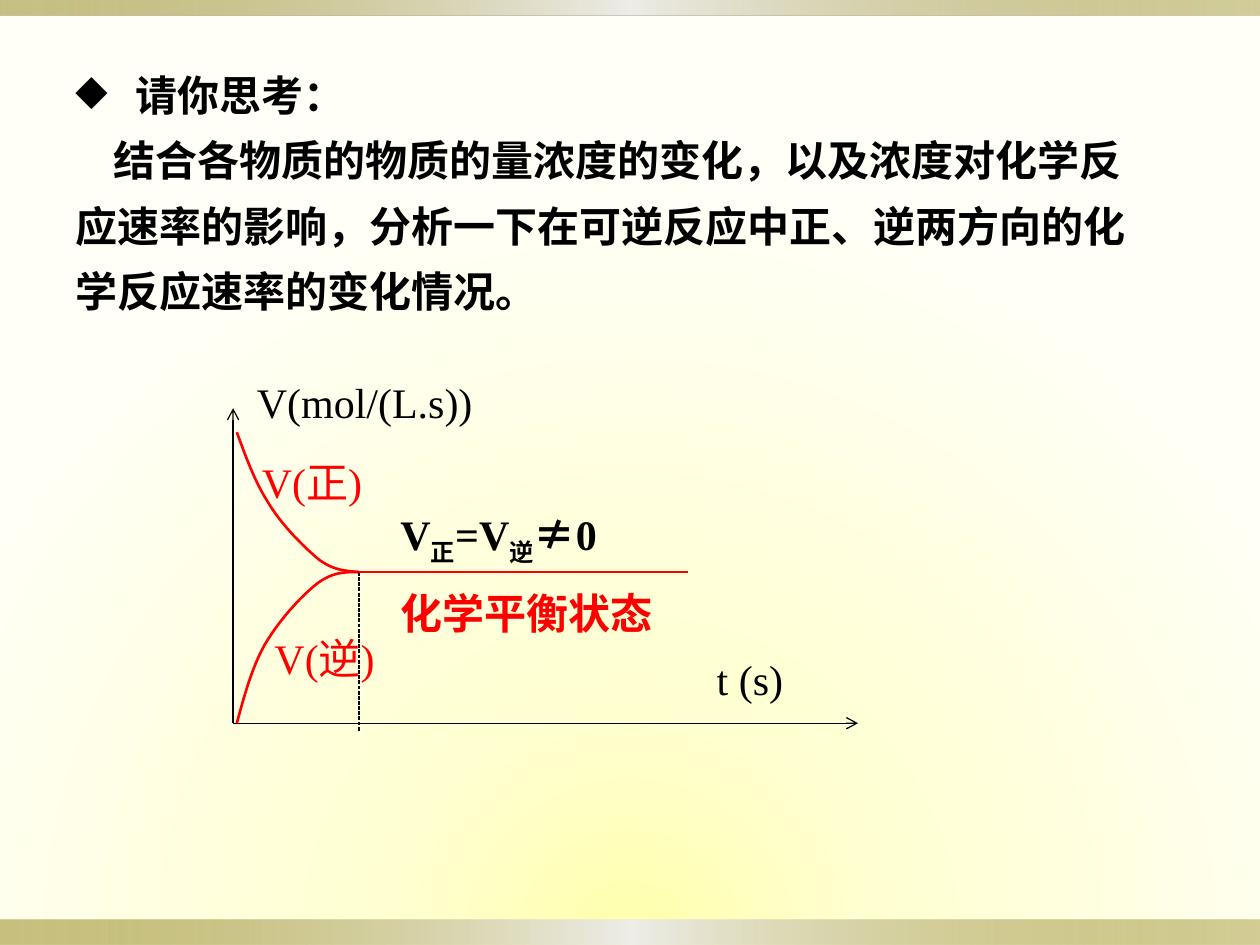
from lxml import etree
from pptx import Presentation
from pptx.dml.color import RGBColor
from pptx.enum.dml import MSO_LINE
from pptx.enum.shapes import MSO_CONNECTOR, MSO_SHAPE
from pptx.enum.text import MSO_AUTO_SIZE as AUTO_SIZE
from pptx.oxml import parse_xml
from pptx.oxml.ns import nsdecls, qn
from pptx.util import Inches, Pt

COLUMNS, ROWS = 100, 75
CELL = Inches(0.1)
CHINESE_FONT, LATIN_FONT = "Noto Sans CJK SC", "Times New Roman"
BLACK, RED = "000000", "FF0000"
ORIGIN_X, ORIGIN_Y = 18.5, 57.4
BALANCE_X, BALANCE_Y = 28.5, 45.4
FORWARD_CURVE = [
    (18.8, 34.3), (19.5, 36.2), (20.2, 38.2), (21.3, 39.9), (22.3, 41.6),
    (24.1, 43.4), (25.3, 44.4), (26.5, 45.3), (27.5, 45.3), (28.4, 45.4),
]
REVERSE_CURVE = [
    (18.8, 57.4), (19.4, 55.2), (20, 53), (21, 51.2), (22.1, 49.3),
    (23.9, 47.3), (25.2, 46.3), (26.4, 45.4), (27.4, 45.4), (28.5, 45.4),
]


def cells(*values):
    return [round(value * CELL) for value in values]


def color(hex_code):
    return RGBColor.from_string(hex_code)


def gradient(stops, direction):
    marks = "".join(
        f'<a:gs pos="{position * 1000}"><a:srgbClr val="{hex_code}">'
        f'<a:alpha val="{alpha * 1000}"/></a:srgbClr></a:gs>'
        for position, hex_code, alpha in stops
    )
    return f'<a:gradFill {nsdecls("a")} rotWithShape="1"><a:gsLst>{marks}</a:gsLst>{direction}</a:gradFill>'


def set_background(slide):
    glow = gradient(
        [(0, "FFFFAC", 100), (31, "FFFFD2", 100), (100, "FFFFF7", 100)],
        '<a:path path="circle"><a:fillToRect l="50000" t="150000" r="50000" b="0"/></a:path>',
    )
    background = parse_xml(f'<p:bg {nsdecls("p", "a")}><p:bgPr>{glow}<a:effectLst/></p:bgPr></p:bg>')
    slide.element.cSld.insert(0, background)


def add_band(slide, top, height):
    shape = slide.shapes.add_shape(MSO_SHAPE.RECTANGLE, *cells(0, top, COLUMNS, height))
    shape.shadow.inherit = False
    shape.line.fill.background()
    fill = gradient(
        [(0, "918415", 50), (50, "EEEDE8", 100), (100, "918415", 40)],
        '<a:lin ang="0" scaled="1"/>',
    )
    shape.element.spPr.find(qn("a:prstGeom")).addnext(parse_xml(fill))


def style_line(line, hex_code, width):
    line.color.rgb = color(hex_code)
    line.width = Pt(width)


def add_line(slide, start, end, hex_code=BLACK, width=0.75, arrow=False, dashed=False):
    connector = slide.shapes.add_connector(MSO_CONNECTOR.STRAIGHT, *cells(*start, *end))
    style_line(connector.line, hex_code, width)
    if dashed:
        connector.line.dash_style = MSO_LINE.SQUARE_DOT
    if arrow:
        etree.SubElement(connector.line._get_or_add_ln(), qn("a:tailEnd"), type="arrow")
    etree.SubElement(connector.element.spPr, qn("a:effectLst"))


def bezier_point(controls, t):
    weights = ((1 - t) ** 3, 3 * t * (1 - t) ** 2, 3 * t ** 2 * (1 - t), t ** 3)
    return cells(*(sum(w * value for w, value in zip(weights, axis)) for axis in zip(*controls)))


def add_curve(slide, controls, steps=12):
    points = [
        bezier_point(controls[first:first + 4], step / steps)
        for first in range(0, len(controls) - 1, 3)
        for step in range(1, steps + 1)
    ]
    builder = slide.shapes.build_freeform(*cells(*controls[0]))
    builder.add_line_segments(points, close=False)
    shape = builder.convert_to_shape()
    shape.shadow.inherit = False
    shape.fill.background()
    style_line(shape.line, RED, 1.5)


def add_text_frame(slide, box, wrap=True):
    frame = slide.shapes.add_textbox(*cells(*box)).text_frame
    frame.word_wrap = wrap
    frame.auto_size = AUTO_SIZE.SHAPE_TO_FIT_TEXT
    return frame


def set_font(paragraph, name, hex_code=BLACK, bold=False):
    font = paragraph.font
    font.size = Pt(24)
    font.name = name
    font.bold = bold
    font.color.rgb = color(hex_code)
    etree.SubElement(font._element, qn("a:ea"), typeface=CHINESE_FONT)


def add_label(slide, box, parts, hex_code=BLACK, bold=False, wrap=True):
    paragraph = add_text_frame(slide, box, wrap).paragraphs[0]
    for text, baseline in parts:
        run = paragraph.add_run()
        run.text = text
        if baseline:
            run.font._element.set("baseline", str(baseline * 1000))
    set_font(paragraph, LATIN_FONT, hex_code, bold)


def add_question(slide):
    frame = add_text_frame(slide, (5, 3.8, 88, 22))
    heading, body = frame.paragraphs[0], frame.add_paragraph()
    heading.text = "请你思考："
    body.text = (
        "结合各物质的物质的量浓度的变化，以及浓度对化学反应速率的影响，"
        "分析一下在可逆反应中正、逆两方向的化学反应速率的变化情况。"
    )
    for paragraph, margin, indent in ((heading, 4.8, -4.8), (body, 0, 3)):
        paragraph.line_spacing = 1.3
        properties = paragraph._p.get_or_add_pPr()
        properties.set("marL", str(cells(margin)[0]))
        properties.set("indent", str(cells(indent)[0]))
        if paragraph is heading:
            etree.SubElement(properties, qn("a:buChar"), char="◆")
        set_font(paragraph, CHINESE_FONT, bold=True)


def add_rate_graph(slide):
    origin, balance = (ORIGIN_X, ORIGIN_Y), (BALANCE_X, BALANCE_Y)
    add_line(slide, origin, (68.1, ORIGIN_Y), arrow=True)
    add_line(slide, origin, (ORIGIN_X, 32.4), arrow=True)
    add_label(slide, (19.4, 29.4, 29.6, 6.5), [("V(mol/(L.s))", 0)])
    add_label(slide, (55.9, 51.4, 10.4, 6.5), [("t (s)", 0)])
    add_curve(slide, REVERSE_CURVE)
    add_line(slide, balance, (BALANCE_X, 58), dashed=True)
    add_curve(slide, FORWARD_CURVE)
    add_line(slide, balance, (54.6, BALANCE_Y), RED, 1.5)
    add_label(slide, (19.8, 35.7, 12.6, 7.2), [("V(正)", 0)], RED)
    add_label(slide, (20.8, 49.7, 12.6, 7.2), [("V(逆)", 0)], RED)
    equality = [("V", 0), ("正", -25), ("=V", 0), ("逆", -25), ("≠0", 0)]
    add_label(slide, (30.8, 39.9, 20.8, 7.2), equality, bold=True, wrap=False)
    add_label(slide, (30.8, 46.1, 27.6, 7.2), [("化学平衡状态", 0)], RED, bold=True, wrap=False)


def main():
    presentation = Presentation()
    presentation.slide_width, presentation.slide_height = cells(COLUMNS, ROWS)
    slide = presentation.slides.add_slide(presentation.slide_layouts[6])
    set_background(slide)
    add_band(slide, ROWS - 2, 2)
    add_band(slide, 0, 1.2)
    add_question(slide)
    add_rate_graph(slide)
    presentation.save("out.pptx")


if __name__ == "__main__":
    main()
